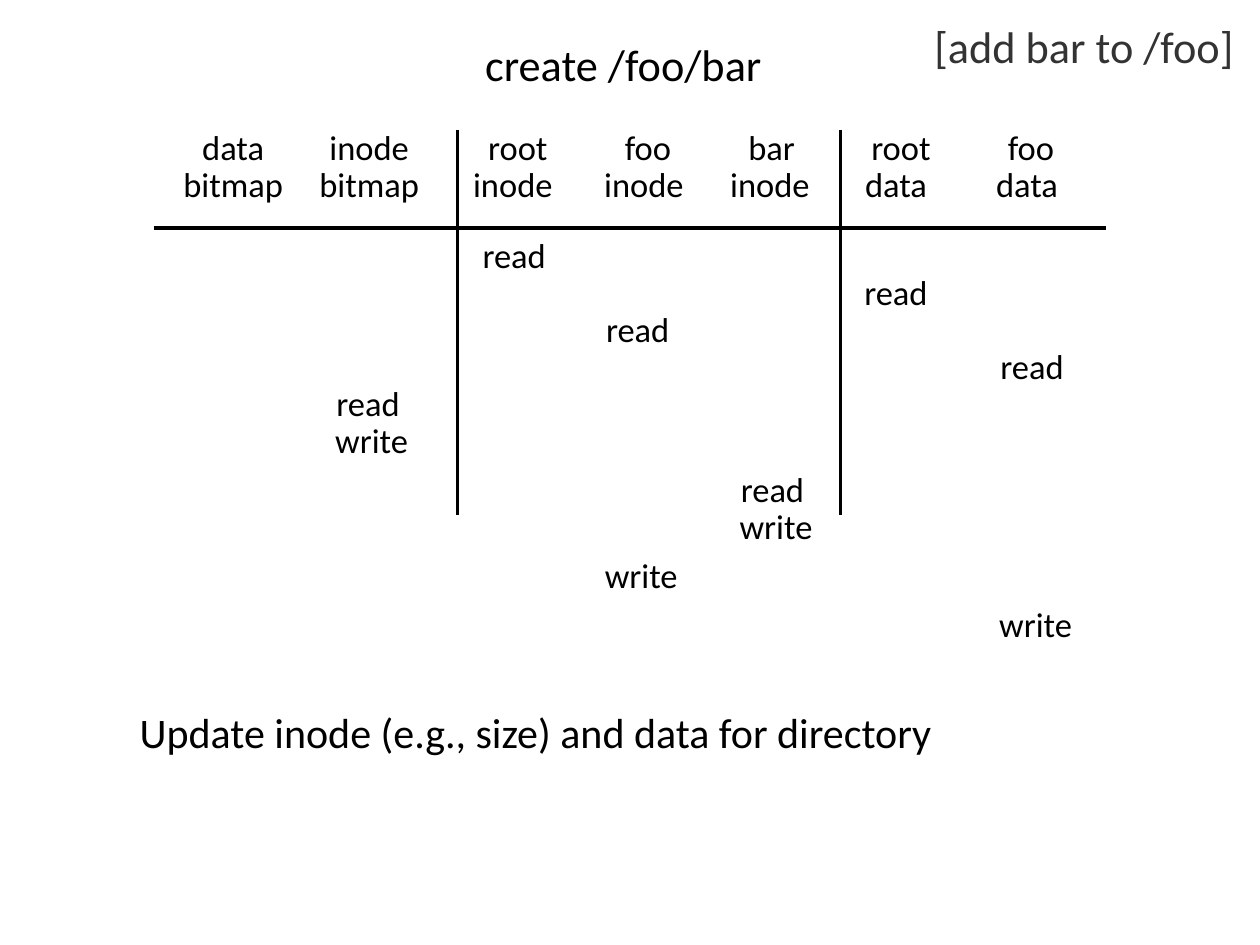
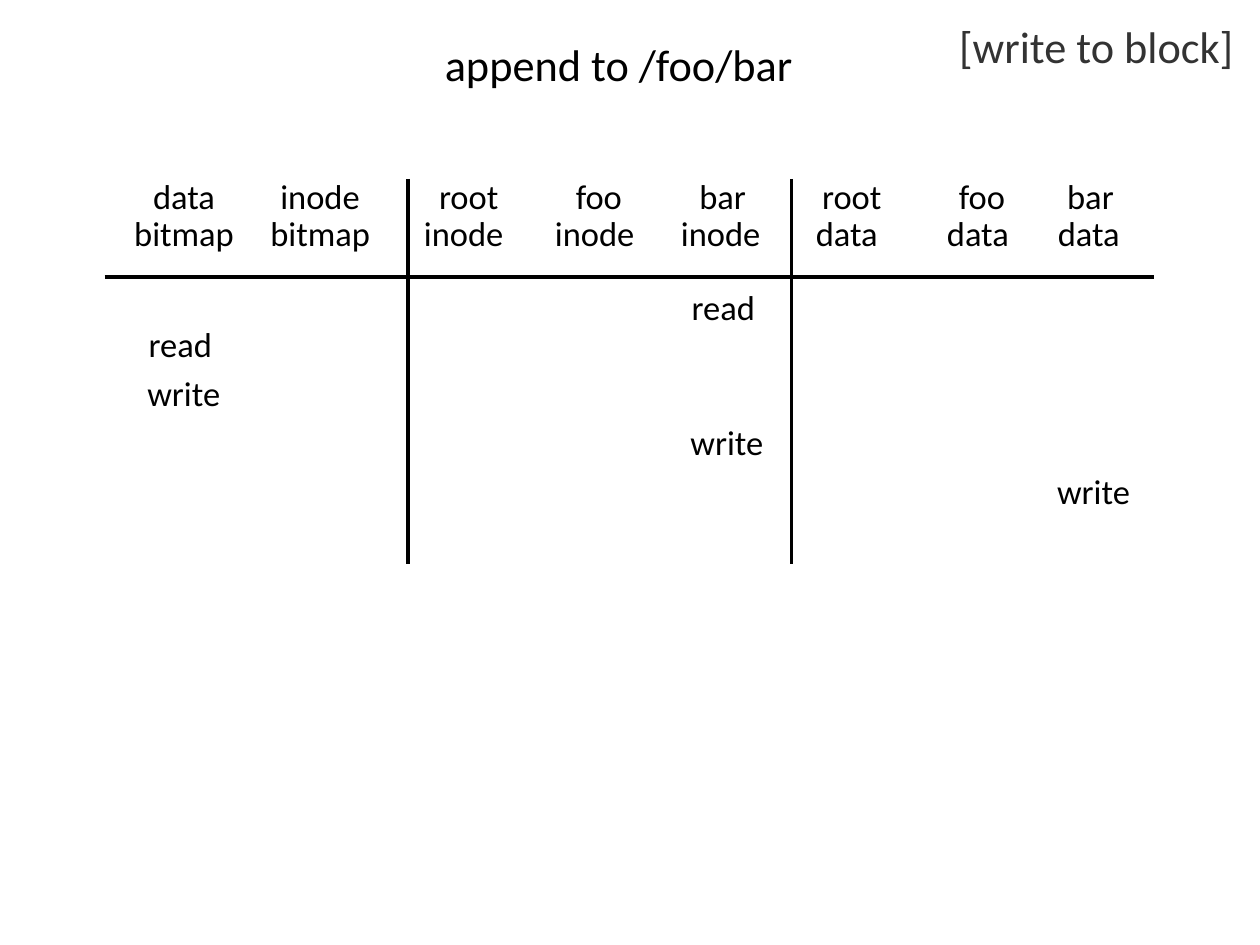
from dataclasses import dataclass

from pptx import Presentation
from pptx.dml.color import RGBColor
from pptx.enum.shapes import MSO_CONNECTOR
from pptx.enum.text import MSO_ANCHOR, MSO_AUTO_SIZE, PP_ALIGN
from pptx.oxml.ns import qn
from pptx.util import Inches, Pt
from lxml.etree import SubElement


@dataclass(frozen=True)
class Theme:
    font: str = "Calibri"
    ink: RGBColor = RGBColor(0x00, 0x00, 0x00)
    tag_ink: RGBColor = RGBColor(0x33, 0x33, 0x33)
    paper: RGBColor = RGBColor(0xFF, 0xFF, 0xFF)
    heading_size: float = 25.3
    grid_size: float = 19.7
    caption_size: float = 24
    rule_width: float = 2
    inset: float = 0.04


@dataclass(frozen=True)
class Column:
    """One on-disk structure; offsets in inches from the left end of the rule."""
    header: tuple
    centres: tuple
    entry_left: float


THEME = Theme()
SLIDE_WIDTH, SLIDE_HEIGHT = 10, 7.5
TITLE_TOP = 0.26
TAG_RIGHT, TAG_TOP = 0.983 * SLIDE_WIDTH, 0.11
HEADING_HEIGHT = 0.5

COLUMNS = {
    "data bitmap": Column(("data", "bitmap"), (0.64, 0.64), 0.31),
    "inode bitmap": Column(("inode", "bitmap"), (1.72, 1.72), 1.41),
    "root inode": Column(("root", "inode"), (2.9, 2.86), 2.57),
    "foo inode": Column(("foo", "inode"), (3.93, 3.9), 3.55),
    "bar inode": Column(("bar", "inode"), (4.91, 4.9), 4.62),
    "root data": Column(("root", "data"), (5.94, 5.9), 5.6),
    "foo data": Column(("foo", "data"), (6.97, 6.94), 6.68),
    "bar data": Column(("bar", "data"), (7.83, 7.82), 7.53),
}
WORD_WIDTHS = {"data": 0.59, "inode": 0.73, "root": 0.57, "foo": 0.46,
               "bar": 0.46, "bitmap": 0.89, "read": 0.6, "write": 0.67}
ENTRY_SHIFTS = {"read": 0, "write": -0.01}
GROUP_DIVIDERS = (2.41, 5.45)
DIVIDER_TOP, DIVIDER_BOTTOM = -0.78, 2.28
HEADER_TOP = -0.85
WORD_HEIGHT = 0.41
LOOSE = 0.39
TIGHT = LOOSE * 3 / 4


def place(shape, left, top, width, height):
    shape.left, shape.top = Inches(left), Inches(top)
    shape.width, shape.height = Inches(width), Inches(height)


def write_text(shape, text, size, color=THEME.ink, align=PP_ALIGN.LEFT,
               anchor=MSO_ANCHOR.MIDDLE, insets=(THEME.inset, THEME.inset)):
    """Fill a frame with one unwrapped line; insets are (side, top and bottom)."""
    frame = shape.text_frame
    frame.word_wrap = False
    frame.auto_size = MSO_AUTO_SIZE.SHAPE_TO_FIT_TEXT
    frame.vertical_anchor = anchor
    frame.margin_left = frame.margin_right = Inches(insets[0])
    frame.margin_top = frame.margin_bottom = Inches(insets[1])
    paragraph = frame.paragraphs[0]
    paragraph.alignment = align
    run = paragraph.add_run()
    run.text = text
    run.font.name = THEME.font
    run.font.size = Pt(size)
    run.font.color.rgb = color


def add_label(slide, text, left, top, width, height, size, **style):
    label = slide.shapes.add_textbox(0, 0, 0, 0)
    place(label, left, top, width, height)
    write_text(label, text, size, **style)


def add_word(slide, word, left, top):
    add_label(slide, word, left, top, WORD_WIDTHS[word], WORD_HEIGHT,
              THEME.grid_size)


def add_rule(slide, x1, y1, x2, y2):
    rule = slide.shapes.add_connector(
        MSO_CONNECTOR.STRAIGHT, *map(Inches, (x1, y1, x2, y2)))
    rule.line.color.rgb = THEME.ink
    rule.line.width = Pt(THEME.rule_width)
    SubElement(rule._element.spPr, qn("a:effectLst"))


def add_headings(slide, title, title_left, title_width, tag, tag_width):
    place(slide.shapes.title, title_left, TITLE_TOP, title_width, HEADING_HEIGHT)
    write_text(slide.shapes.title, title, THEME.heading_size)
    add_label(slide, tag, TAG_RIGHT - tag_width, TAG_TOP, tag_width,
              HEADING_HEIGHT, THEME.heading_size, color=THEME.tag_ink,
              align=PP_ALIGN.RIGHT)


def add_timeline(slide, columns, accesses, left, rule_top, rule_length):
    """Draw the headed grid; each access is (gap above, column, operation)."""
    for column in columns:
        for line, (word, centre) in enumerate(zip(column.header, column.centres)):
            add_word(slide, word, left + centre - WORD_WIDTHS[word] / 2,
                     rule_top + HEADER_TOP + line * TIGHT)
    add_rule(slide, left, rule_top, left + rule_length, rule_top)
    for divider in GROUP_DIVIDERS:
        add_rule(slide, left + divider, rule_top + DIVIDER_TOP,
                 left + divider, rule_top + DIVIDER_BOTTOM)
    row_top = rule_top
    for gap, column, operation in accesses:
        row_top += gap
        entry_left = COLUMNS[column].entry_left + ENTRY_SHIFTS[operation]
        add_word(slide, operation, left + entry_left, row_top)


def add_slide(deck):
    title_only = deck.slide_layouts[5]
    slide = deck.slides.add_slide(title_only)
    slide.background.fill.solid()
    slide.background.fill.fore_color.rgb = THEME.paper
    return slide


def main():
    deck = Presentation()
    deck.slide_width, deck.slide_height = Inches(SLIDE_WIDTH), Inches(SLIDE_HEIGHT)
    columns = list(COLUMNS.values())

    create = add_slide(deck)
    add_headings(create, "create /foo/bar", 3.81, 2.3, "[add bar to /foo]", 2.48)
    add_timeline(create, columns[:-1], [
        (0.01, "root inode", "read"),
        (TIGHT, "root data", "read"),
        (TIGHT, "foo inode", "read"),
        (TIGHT, "foo data", "read"),
        (TIGHT, "inode bitmap", "read"),
        (TIGHT, "inode bitmap", "write"),
        (LOOSE, "bar inode", "read"),
        (TIGHT, "bar inode", "write"),
        (LOOSE, "foo inode", "write"),
        (LOOSE, "foo data", "write"),
    ], left=1.22, rule_top=1.81, rule_length=7.56)
    add_label(create, "Update inode (e.g., size) and data for directory",
              1.01, 5.56, 6.62, HEADING_HEIGHT, THEME.caption_size,
              anchor=MSO_ANCHOR.TOP, insets=(0.1, 0.05))

    append = add_slide(deck)
    add_headings(append, "append to /foo/bar", 3.49, 2.86, "[write to block]", 2.28)
    add_timeline(append, columns, [
        (0.03, "bar inode", "read"),
        (TIGHT, "data bitmap", "read"),
        (LOOSE, "data bitmap", "write"),
        (LOOSE, "bar inode", "write"),
        (LOOSE, "bar data", "write"),
    ], left=0.83, rule_top=2.2, rule_length=8.33)

    deck.save("out.pptx")


if __name__ == "__main__":
    main()
